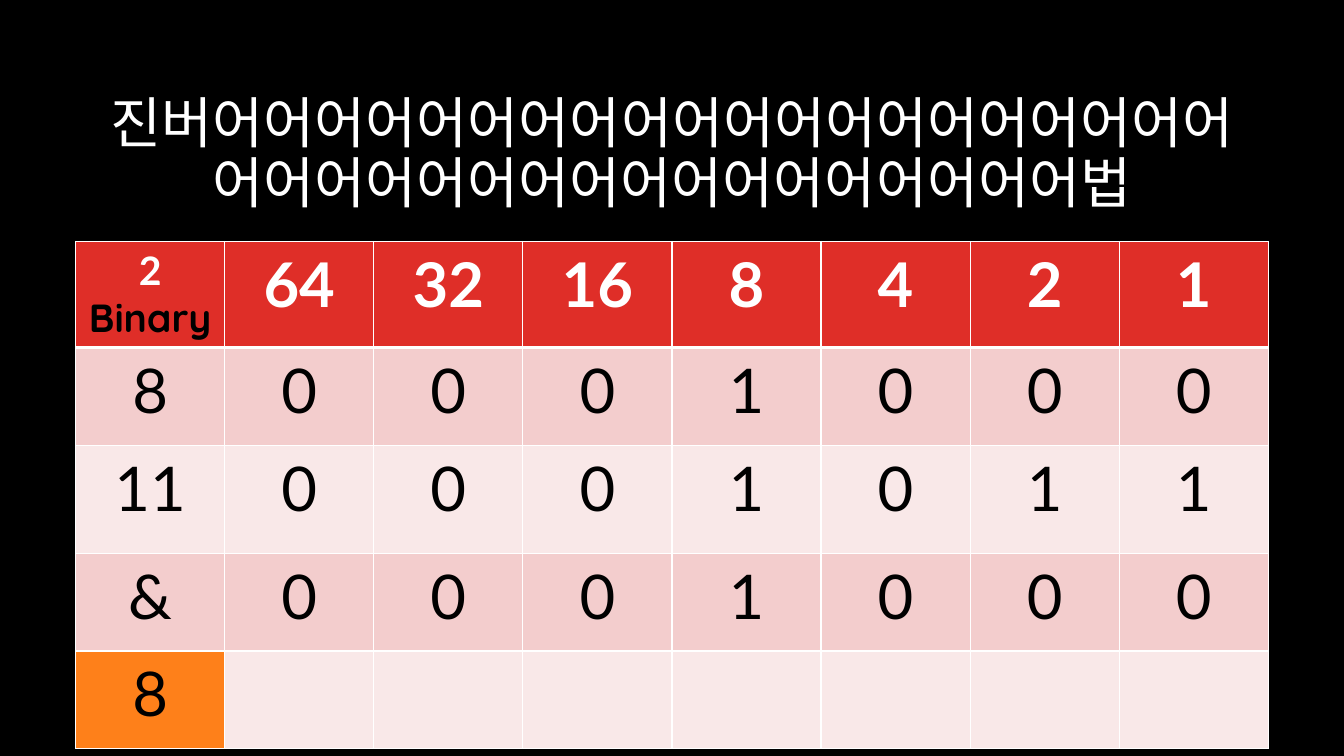
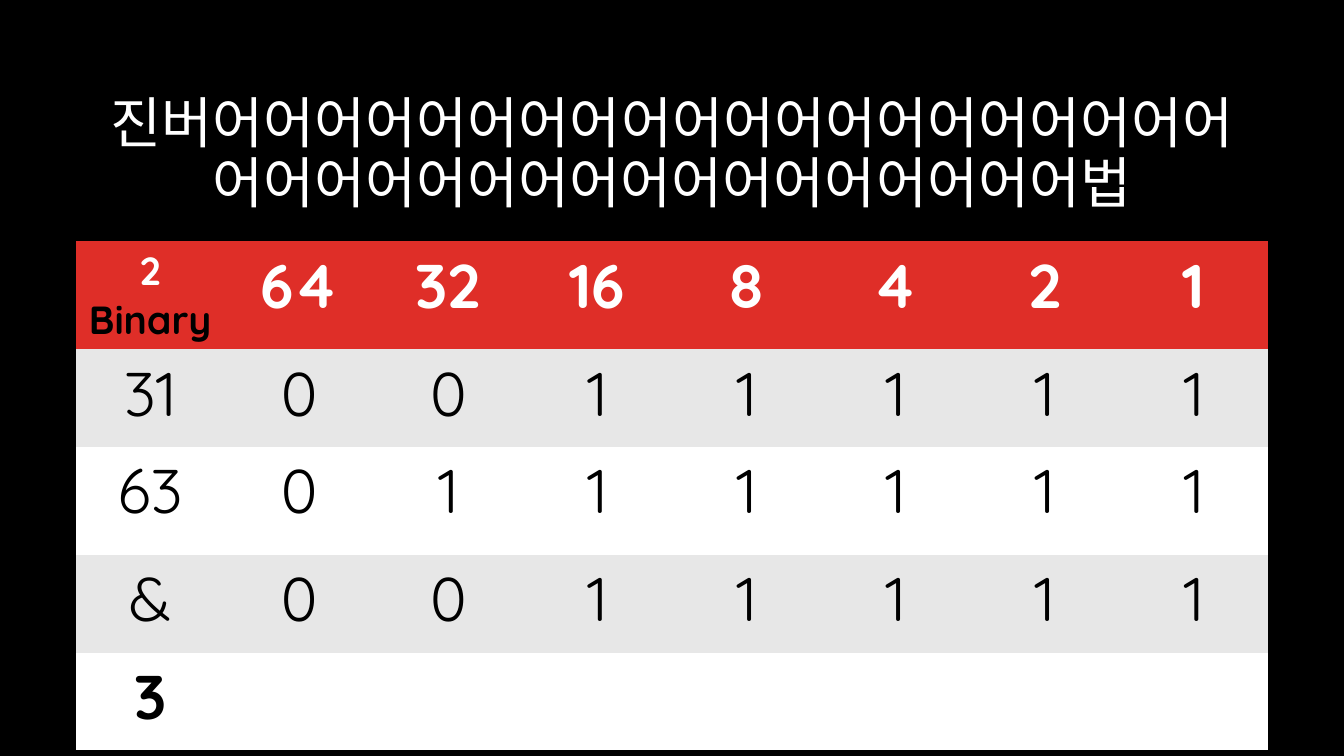
from dataclasses import dataclass

from lxml import etree
from pptx import Presentation
from pptx.dml.color import RGBColor
from pptx.enum.text import MSO_ANCHOR, MSO_AUTO_SIZE, PP_ALIGN
from pptx.oxml.ns import qn
from pptx.presentation import Presentation as Deck
from pptx.slide import Slide
from pptx.table import _Cell as Cell
from pptx.text.text import _Paragraph as Paragraph
from pptx.util import Emu, Pt

CENTER = PP_ALIGN.CENTER
MIDDLE = MSO_ANCHOR.MIDDLE
NO_AUTOFIT = MSO_AUTO_SIZE.NONE

BLACK = RGBColor(0x00, 0x00, 0x00)
WHITE = RGBColor(0xFF, 0xFF, 0xFF)
RED = RGBColor(0xDF, 0x2E, 0x28)
ORANGE = RGBColor(0xFE, 0x80, 0x1A)
PINK = RGBColor(0xF3, 0xCD, 0xCD)
PALE_PINK = RGBColor(0xF9, 0xE8, 0xE8)
GRAY = RGBColor(0xE7, 0xE7, 0xE7)

LATO = "Lato"
QUICKSAND = "Quicksand"
PLAIN_TABLE_STYLE = "{2D5ABB26-0587-4C30-8999-92F81FD0307C}"

EMU_PER_PX = 9525
SLIDE_WIDTH, SLIDE_HEIGHT = 1280, 720
LEFT, CONTENT_WIDTH = 72, 1136
TITLE_TOP, TITLE_HEIGHT = 81, 135
TABLE_TOP = 230
ROW_HEIGHTS = (93, 93, 103, 93, 93)

TITLE = "진버" + "어" * 37 + "법"
TITLE_LAYOUT = 5
TITLE_SIZE = 39.6
CORNER_SIZE = 28
DIGIT_SIZE = 44
PLACES = ("64", "32", "16", "8", "4", "2", "1")
THIN_LINE, THICK_LINE = 1, 3


@dataclass(frozen=True)
class TextStyle:
    font: str
    size: float
    color: RGBColor
    bold: bool = False


@dataclass(frozen=True)
class BinaryTable:
    rows: tuple[tuple[str, str], ...]
    result: str
    font: str
    bands: tuple[RGBColor, RGBColor]
    result_fill: RGBColor
    result_bold: bool
    bordered: bool


TABLES = (
    BinaryTable(
        rows=(("8", "0001000"), ("11", "0001011"), ("&", "0001000")),
        result="8",
        font=LATO,
        bands=(PINK, PALE_PINK),
        result_fill=ORANGE,
        result_bold=False,
        bordered=True,
    ),
    BinaryTable(
        rows=(("31", "0011111"), ("63", "0111111"), ("&", "0011111")),
        result="3",
        font=QUICKSAND,
        bands=(GRAY, WHITE),
        result_fill=WHITE,
        result_bold=True,
        bordered=False,
    ),
)


def px(length: int) -> Emu:
    return Emu(length * EMU_PER_PX)


def add_text(paragraph: Paragraph, text: str, style: TextStyle) -> None:
    paragraph.alignment = CENTER
    run = paragraph.add_run()
    run.text = text
    run.font.name = style.font
    run.font.size = Pt(style.size)
    run.font.bold = style.bold
    run.font.color.rgb = style.color


def fill_cell(cell: Cell, color: RGBColor) -> None:
    cell.fill.solid()
    cell.fill.fore_color.rgb = color


def add_borders(cell_properties: etree._Element, row: int) -> None:
    top = THICK_LINE if row == 1 else THIN_LINE
    bottom = THICK_LINE if row == 0 else THIN_LINE
    sides = (("lnL", THIN_LINE), ("lnR", THIN_LINE), ("lnT", top), ("lnB", bottom))
    for position, (side, width) in enumerate(sides):
        line = etree.Element(qn(f"a:{side}"), w=str(int(Pt(width))))
        solid = etree.SubElement(line, qn("a:solidFill"))
        etree.SubElement(solid, qn("a:srgbClr"), val=str(WHITE))
        cell_properties.insert(position, line)


def add_title(slide: Slide) -> None:
    title = slide.shapes.title
    title.left, title.top = px(LEFT), px(TITLE_TOP)
    title.width, title.height = px(CONTENT_WIDTH), px(TITLE_HEIGHT)
    frame = title.text_frame
    frame.word_wrap = True
    frame.auto_size = NO_AUTOFIT
    frame.vertical_anchor = MIDDLE
    paragraph = frame.paragraphs[0]
    paragraph.line_spacing = 0.9
    add_text(paragraph, TITLE, TextStyle(LATO, TITLE_SIZE, WHITE))


def add_binary_table(slide: Slide, content: BinaryTable) -> None:
    column_count = len(PLACES) + 1
    graphic_frame = slide.shapes.add_table(
        len(ROW_HEIGHTS), column_count, px(LEFT), px(TABLE_TOP),
        px(CONTENT_WIDTH), px(sum(ROW_HEIGHTS)),
    )
    table = graphic_frame.table
    next(graphic_frame.element.iter(qn("a:tableStyleId"))).text = PLAIN_TABLE_STYLE
    for column in table.columns:
        column.width = px(CONTENT_WIDTH // column_count)
    for row, height in zip(table.rows, ROW_HEIGHTS):
        row.height = px(height)

    for row_index, row in enumerate(table.rows):
        color = RED if row_index == 0 else content.bands[(row_index - 1) % 2]
        for cell in row.cells:
            fill_cell(cell, color)

    corner = table.cell(0, 0).text_frame
    add_text(corner.paragraphs[0], "2", TextStyle(content.font, CORNER_SIZE, WHITE, True))
    add_text(corner.add_paragraph(), "Binary", TextStyle(QUICKSAND, CORNER_SIZE, BLACK, True))

    header = TextStyle(content.font, DIGIT_SIZE, WHITE, True)
    for column_index, place in enumerate(PLACES, start=1):
        add_text(table.cell(0, column_index).text_frame.paragraphs[0], place, header)

    digit = TextStyle(content.font, DIGIT_SIZE, BLACK)
    for row_index, (label, bits) in enumerate(content.rows, start=1):
        for column_index, text in enumerate((label, *bits)):
            add_text(table.cell(row_index, column_index).text_frame.paragraphs[0], text, digit)

    result_cell = table.cell(len(ROW_HEIGHTS) - 1, 0)
    fill_cell(result_cell, content.result_fill)
    result_style = TextStyle(content.font, DIGIT_SIZE, BLACK, content.result_bold)
    add_text(result_cell.text_frame.paragraphs[0], content.result, result_style)

    if content.bordered:
        for index, cell_properties in enumerate(graphic_frame.element.iter(qn("a:tcPr"))):
            add_borders(cell_properties, index // column_count)


def add_binary_slide(presentation: Deck, content: BinaryTable) -> None:
    slide = presentation.slides.add_slide(presentation.slide_layouts[TITLE_LAYOUT])
    add_title(slide)
    add_binary_table(slide, content)


def main() -> None:
    presentation = Presentation()
    presentation.slide_width = px(SLIDE_WIDTH)
    presentation.slide_height = px(SLIDE_HEIGHT)
    background = presentation.slide_master.background.fill
    background.solid()
    background.fore_color.rgb = BLACK
    for content in TABLES:
        add_binary_slide(presentation, content)
    presentation.save("out.pptx")


if __name__ == "__main__":
    main()
